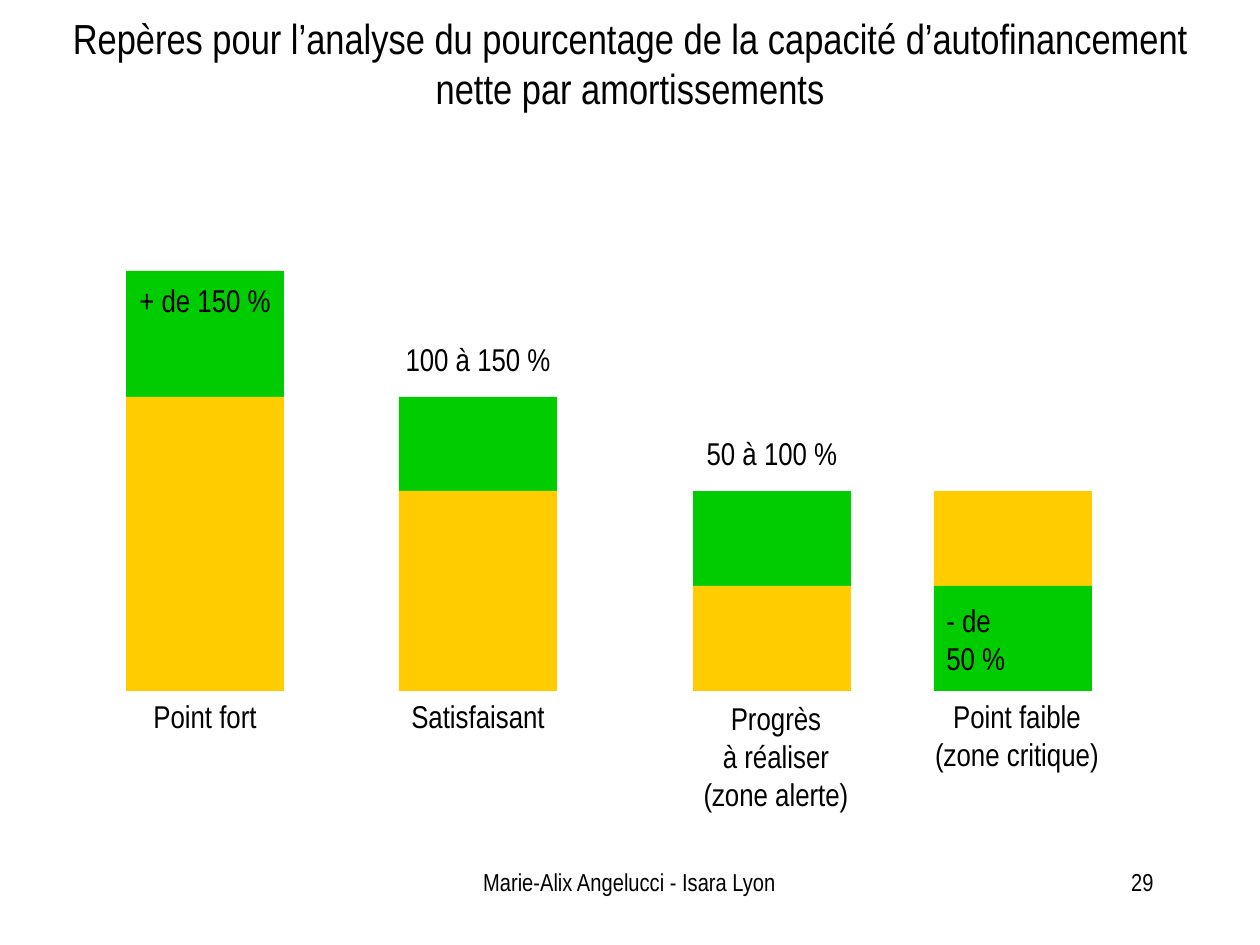
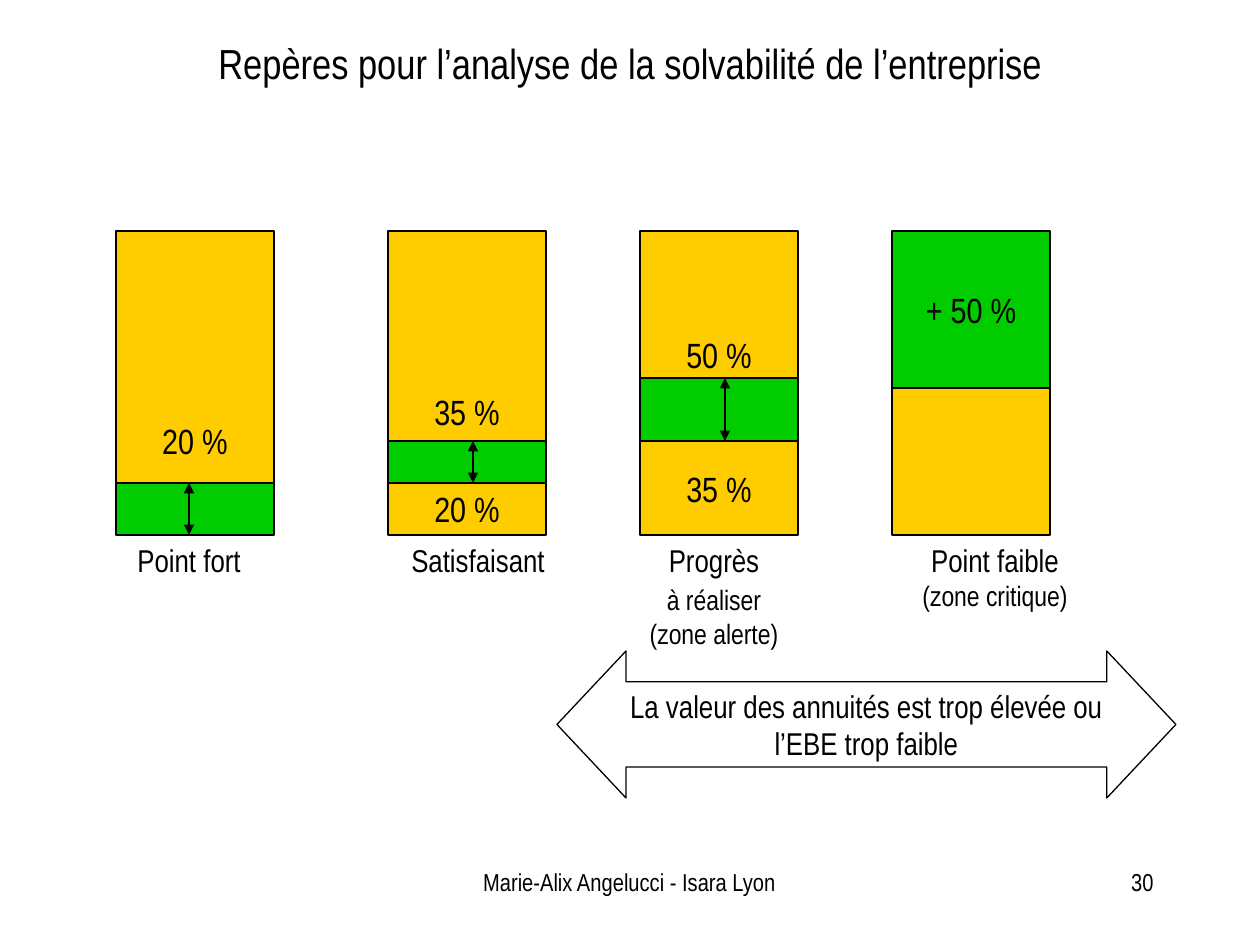
from dataclasses import dataclass

from lxml import etree
from pptx import Presentation
from pptx import util as u
from pptx.dml.color import RGBColor
from pptx.enum import shapes, text
from pptx.oxml.ns import qn

PX = 914400 / 126
CENTER, LEFT, RIGHT = text.PP_ALIGN.CENTER, text.PP_ALIGN.LEFT, text.PP_ALIGN.RIGHT
TOP, MIDDLE, BOTTOM = text.MSO_ANCHOR.TOP, text.MSO_ANCHOR.MIDDLE, text.MSO_ANCHOR.BOTTOM


@dataclass(frozen=True)
class Theme:
    font: str = "Arial Narrow"
    ink: RGBColor = RGBColor(0, 0, 0)
    paper: RGBColor = RGBColor(255, 255, 255)
    green: RGBColor = RGBColor(0, 0xCC, 0)
    gold: RGBColor = RGBColor(0xFF, 0xCC, 0)
    title: int = 24
    share: int = 20
    body: int = 18
    detail: int = 16
    footer: int = 14
    outline: float = 0.75
    arrow: float = 1.5


T = Theme()
BAR_WIDTH = 158
CAPTION_WIDTH = 294
FOOTER = "Marie-Alix Angelucci - Isara Lyon"

# A segment is (top, colour, lines, gap under the text); without a gap the text is centred.
# A caption is (centre, top, lines); a line is (text, size, points before it).
SLIDES = [
    {
        "title": "Repères pour l’analyse du pourcentage de la capacité d’autofinancement "
                 "nette par amortissements",
        "number": 29, "base": 691, "outlined": False, "align": LEFT,
        "columns": [
            {"left": 126, "segments": [(271, T.green), (397, T.gold)],
             "captions": [(205, 691, [("Point fort", T.body)]),
                          (205, 275, [("+ de 150 %", T.body)])]},
            {"left": 399, "segments": [(397, T.green), (491, T.gold)],
             "captions": [(478, 691, [("Satisfaisant", T.body)]),
                          (478, 334, [("100 à 150 %", T.body)])]},
            {"left": 693, "segments": [(491, T.green), (586, T.gold)],
             "captions": [(776, 693, [("Progrès", T.body), ("à réaliser", T.body),
                                      ("(zone alerte)", T.body)]),
                          (772, 428, [("50 à 100 %", T.body)])]},
            {"left": 934,
             "segments": [(491, T.gold),
                          (586, T.green, [("- de", T.body), ("50 %", T.body)])],
             "captions": [(1017, 691, [("Point faible", T.body),
                                       ("(zone critique)", T.body)])]},
        ],
    },
    {
        "title": "Repères pour l’analyse de la solvabilité de l’entreprise",
        "number": 30, "base": 535, "outlined": True, "align": CENTER,
        "columns": [
            {"left": 116, "arrow": (189, 483, 535),
             "segments": [(231, T.gold, [("20 %", T.share)], 21), (483, T.green)],
             "captions": [(189, 535, [("Point fort", T.body)])]},
            {"left": 388, "arrow": (473, 441, 483),
             "segments": [(231, T.gold, [("35 %", T.share)], 9), (441, T.green),
                          (483, T.gold, [("20 %", T.share)])],
             "captions": [(478, 535, [("Satisfaisant", T.body)])]},
            {"left": 640, "arrow": (725, 378, 441),
             "segments": [(231, T.gold, [("50 %", T.share)], 3), (378, T.green),
                          (441, T.gold, [("35 %", T.share)])],
             "captions": [(714, 535, [("Progrès", T.body), ("à réaliser", T.detail, 2),
                                      ("(zone alerte)", T.detail)])]},
            {"left": 892,
             "segments": [(231, T.green, [("+ 50 %", T.share)]), (388, T.gold)],
             "captions": [(995, 535, [("Point faible", T.body),
                                      ("(zone critique)", T.detail)])]},
        ],
        "verdict": "La valeur des annuités est trop élevée ou l’EBE trop faible",
    },
]


def px(*lengths):
    return [u.Emu(round(length * PX)) for length in lengths]


def write(shape, lines, align=CENTER, anchor=TOP, gap=None):
    frame = shape.text_frame
    frame.word_wrap = True
    frame.vertical_anchor = anchor
    if gap is not None:
        frame.margin_bottom = px(gap)[0]
    for index, (words, size, *before) in enumerate(lines):
        paragraph = frame.paragraphs[0] if index == 0 else frame.add_paragraph()
        paragraph.text = words
        paragraph.alignment = align
        if before:
            paragraph.space_before = u.Pt(before[0])
        paragraph.font.name = T.font
        paragraph.font.size = u.Pt(size)
        paragraph.font.color.rgb = T.ink


def add_text(slide, box, lines, **style):
    write(slide.shapes.add_textbox(*px(*box)), lines, **style)


def add_block(slide, kind, box, fill, outlined):
    block = slide.shapes.add_shape(kind, *px(*box))
    block.shadow.inherit = False
    block.fill.solid()
    block.fill.fore_color.rgb = fill
    if outlined:
        block.line.color.rgb = T.ink
        block.line.width = u.Pt(T.outline)
    else:
        block.line.fill.background()
    return block


def add_range_arrow(slide, x, top, bottom):
    arrow = slide.shapes.add_connector(shapes.MSO_CONNECTOR.STRAIGHT, *px(x, top, x, bottom))
    arrow.line.color.rgb = T.ink
    arrow.line.width = u.Pt(T.arrow)
    line = arrow.line._get_or_add_ln()
    for end in ("a:headEnd", "a:tailEnd"):
        etree.SubElement(line, qn(end), type="triangle")
    etree.SubElement(arrow._element.spPr, qn("a:effectLst"))


def add_column(slide, column, page):
    segments = column["segments"]
    bottoms = [segment[0] for segment in segments[1:]] + [page["base"]]
    for (top, fill, *label), bottom in zip(segments, bottoms):
        block = add_block(slide, shapes.MSO_SHAPE.RECTANGLE,
                          (column["left"], top, BAR_WIDTH, bottom - top),
                          fill, page["outlined"])
        if label:
            lines, *gap = label
            write(block, lines, page["align"], BOTTOM if gap else MIDDLE, *gap)
    if "arrow" in column:
        add_range_arrow(slide, *column["arrow"])
    for centre, top, lines in column["captions"]:
        add_text(slide, (centre - CAPTION_WIDTH // 2, top, CAPTION_WIDTH, 50 * len(lines)), lines)


def add_verdict(slide, verdict):
    arrow = add_block(slide, shapes.MSO_SHAPE.LEFT_RIGHT_ARROW, (557, 651, 619, 147),
                      T.paper, True)
    arrow.adjustments[0], arrow.adjustments[1] = 0.58, 0.47
    write(arrow, [(verdict, T.body)], anchor=MIDDLE)


def add_page(deck, page):
    slide = deck.slides.add_slide(deck.slide_layouts[6])
    add_text(slide, (21, 6, 1218, 114), [(page["title"], T.title)], anchor=MIDDLE)
    for column in page["columns"]:
        add_column(slide, column, page)
    if "verdict" in page:
        add_verdict(slide, page["verdict"])
    add_text(slide, (430, 861, 399, 63), [(FOOTER, T.footer)])
    add_text(slide, (903, 861, 263, 63), [(str(page["number"]), T.footer)], align=RIGHT)


def main():
    deck = Presentation()
    deck.slide_width, deck.slide_height = px(1260, 945)
    for page in SLIDES:
        add_page(deck, page)
    deck.save("out.pptx")


if __name__ == "__main__":
    main()
